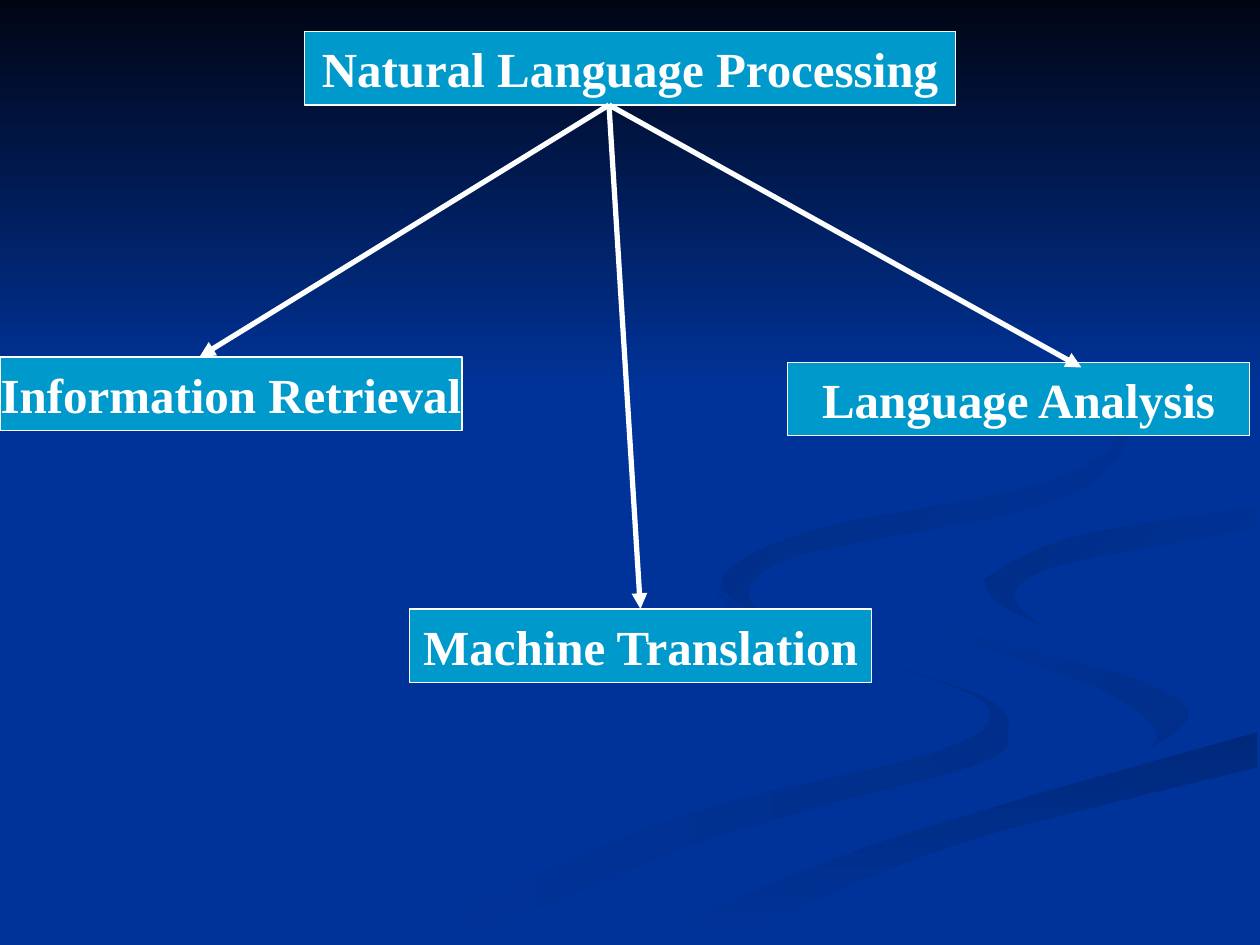
from pptx import Presentation
from pptx.dml.color import RGBColor
from pptx.enum.shapes import MSO_CONNECTOR, MSO_SHAPE
from pptx.enum.text import MSO_ANCHOR, PP_ALIGN
from pptx.oxml.ns import qn
from pptx.util import Inches, Pt
from lxml import etree

RECT = MSO_SHAPE.RECTANGLE
LINE = MSO_CONNECTOR.STRAIGHT
MIDDLE = MSO_ANCHOR.MIDDLE
CENTER = PP_ALIGN.CENTER

COLORS = {
    "back": "003399", "night": "000514", "box": "0099CC", "white": "FFFFFF",
    "dim": "002E8A", "deep": "00297C", "far": "002C85", "tall": "002B81",
}
FONT = "Times New Roman"
CELL = Inches(1) / 12   # the grid has 120 columns and 90 rows
FINE = Inches(1) / 100  # unit of the ribbon edges
STEPS = 5               # segments between two points of an edge

# Edges that neighbouring ribbons share
BEND = [(724, 464), (758, 498), (905, 540), (943, 570), (894, 605)]
SHORE = [(503, 749), (696, 669), (998, 581)]
CREEK = [(998, 402), (849, 427), (781, 460)]

# Ribbons: edges, first colour, last colour, gradient angle
RIBBONS = [
    ([[(575, 459), (586, 487), (679, 519), (781, 553), (800, 581),
       (769, 609), (564, 665), (361, 749)],
      [(300, 749), (539, 649), (739, 598), (786, 566), (741, 539),
       (631, 505), (570, 472)]], "dim", "back", 180),
    ([BEND, [(894, 605), (918, 581), (868, 544), (746, 500), (724, 464)]],
     "dim", "back", 135),
    ([SHORE, [(998, 609), (752, 672), (571, 749)]], "deep", "back", 270),
    ([BEND, [(894, 605), (704, 655), (477, 749)], SHORE,
      [(998, 538), (832, 498), (781, 460)], CREEK[::-1],
      [(998, 387), (788, 422), (724, 464)]], "back", "back", 0),
    ([CREEK, [(781, 460), (791, 478), (826, 496)],
      [(826, 496), (805, 472), (843, 448), (998, 420)]], "back", "far", 135),
    ([[(683, 430), (825, 402), (889, 362), (880, 307), (762, 233)],
      [(762, 233), (862, 292), (886, 348), (818, 386), (649, 420),
       (580, 451), (580, 474), (622, 500)],
      [(622, 500), (593, 470), (624, 444), (683, 430)]], "back", "tall", 135),
]


def color(name):
    return RGBColor.from_string(COLORS[name])


def blend(a, b, c, d, t):
    """Catmull-Rom value between b and c."""
    return b + t * (c - a + t * (2*a - 5*b + 4*c - d + t * (3*b - a - 3*c + d))) / 2


def curve(edge):
    """Points of a smooth line through the points of an edge."""
    ends = [edge[0], *edge, edge[-1]]
    points = [
        tuple(blend(*axis, step / STEPS) for axis in zip(*ends[i:i + 4]))
        for i in range(len(edge) - 1) for step in range(STEPS)
    ]
    return points + [edge[-1]]


class Deck:
    """Holds the style and the current slide."""

    def __init__(self):
        self.file = Presentation()
        self.file.slide_width, self.file.slide_height = Inches(10), Inches(7.5)
        self.slide = self.file.slides.add_slide(self.file.slide_layouts[6])
        self.shapes = self.slide.shapes
        fill = self.slide.background.fill
        fill.solid()
        fill.fore_color.rgb = color("back")

    def grid(self, *cells):
        return [round(n * CELL) for n in cells]

    def shade(self, shape, first, last, angle):
        shape.shadow.inherit = False
        shape.line.fill.background()
        if first == last:
            shape.fill.solid()
            shape.fill.fore_color.rgb = color(first)
            return
        shape.fill.gradient()
        shape.fill.gradient_angle = angle
        for stop, name in zip(shape.fill.gradient_stops, (first, last)):
            stop.color.rgb = color(name)

    def ribbon(self, edges, first, last, angle):
        points = [point for edge in edges for point in curve(edge)]
        form = self.shapes.build_freeform(*points[0], scale=FINE)
        form.add_line_segments(points[1:], close=True)
        self.shade(form.convert_to_shape(), first, last, angle)

    def band(self, rows):
        shape = self.shapes.add_shape(RECT, *self.grid(0, 0, 120, rows))
        self.shade(shape, "night", "back", 270)

    def box(self, text, col, row, wide=44):
        shape = self.shapes.add_shape(RECT, *self.grid(col, row, wide, 7))
        shape.shadow.inherit = False
        shape.fill.solid()
        shape.fill.fore_color.rgb = color("box")
        shape.line.color.rgb = color("white")
        shape.line.width = Pt(0.75)
        frame = shape.text_frame
        frame.word_wrap = False
        frame.vertical_anchor = MIDDLE
        para = frame.paragraphs[0]
        para.text = text
        para.alignment = CENTER
        font = para.font
        font.name, font.size, font.bold = FONT, Pt(28), True
        font.color.rgb = color("white")
        return shape

    def arrow(self, start, end, goal=None):
        link = self.shapes.add_connector(LINE, *self.grid(*start, *end))
        if goal is not None:
            link.end_connect(goal, 0)
        link.line.color.rgb = color("white")
        link.line.width = Pt(3)
        props = link._element.spPr
        etree.SubElement(props.find(qn("a:ln")), qn("a:tailEnd"), type="triangle")
        etree.SubElement(props, qn("a:effectLst"))


def main():
    deck = Deck()

    # Backdrop
    for ribbon in RIBBONS:
        deck.ribbon(*ribbon)
    deck.band(37)

    # Topic and its fields
    deck.box("Natural Language Processing", 29, 3, 62)
    deck.box("Information Retrieval", 0, 34)
    target = deck.box("Machine Translation", 39, 58)
    deck.box("Language Analysis", 75, 34.5)

    # Arrows from the topic
    root = (58, 10)
    deck.arrow(root, (19, 34))
    deck.arrow(root, (103, 35))
    deck.arrow(root, (61, 58), target)

    deck.file.save("out.pptx")


if __name__ == "__main__":
    main()
